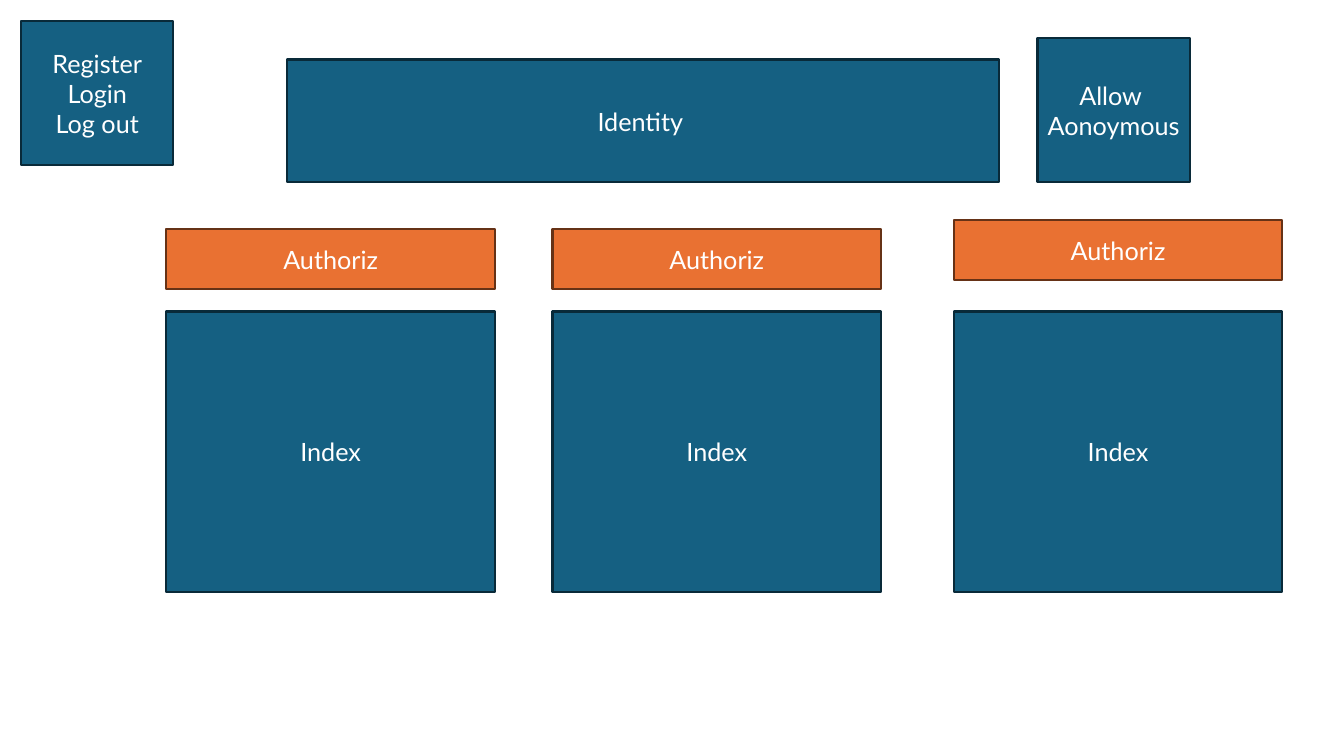
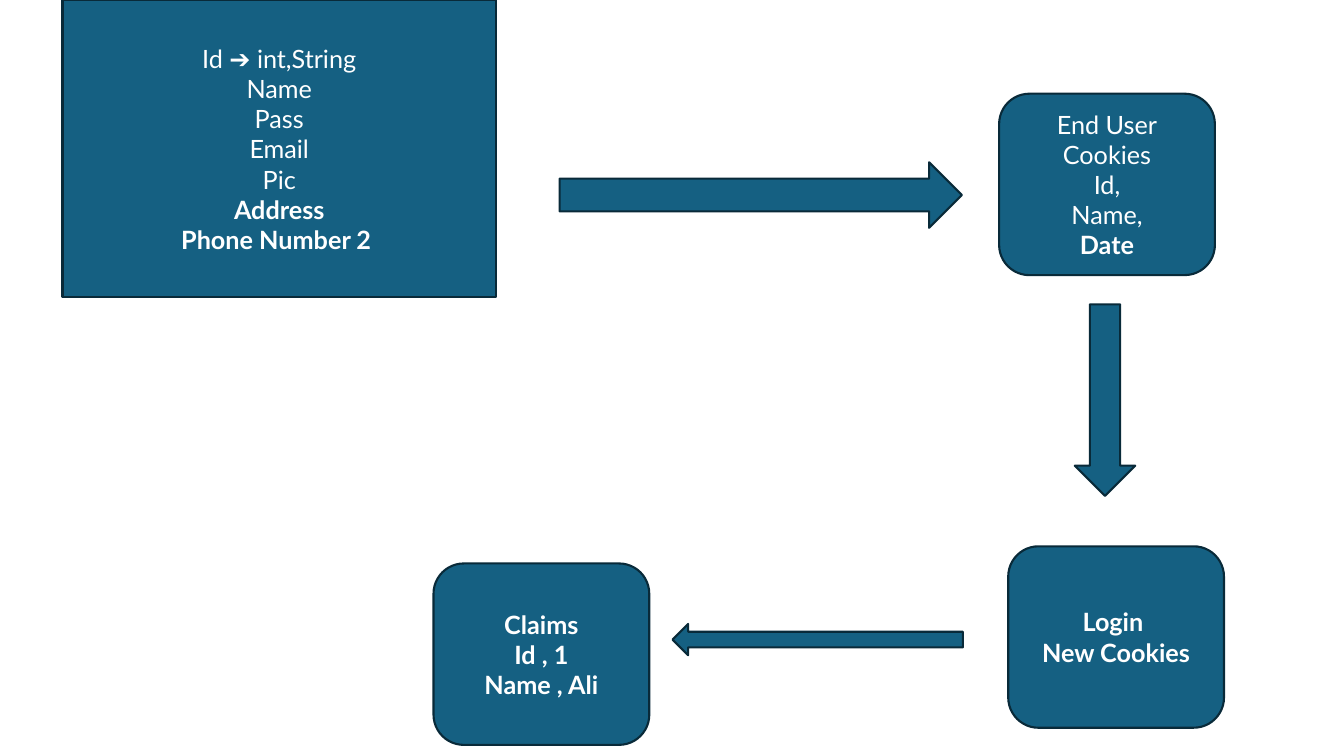
from pptx import Presentation
from pptx.dml.color import RGBColor
from pptx.enum.shapes import MSO_SHAPE
from pptx.enum.text import MSO_ANCHOR, PP_ALIGN
from pptx.util import Inches, Pt

RECTANGLE = MSO_SHAPE.RECTANGLE
ROUNDED = MSO_SHAPE.ROUNDED_RECTANGLE
RIGHT_ARROW = MSO_SHAPE.RIGHT_ARROW
DOWN_ARROW = MSO_SHAPE.DOWN_ARROW
LEFT_ARROW = MSO_SHAPE.LEFT_ARROW
MIDDLE = MSO_ANCHOR.MIDDLE
CENTER = PP_ALIGN.CENTER

BLUE = RGBColor(0x15, 0x60, 0x82)
DARK_BLUE = RGBColor(0x09, 0x2A, 0x39)
ORANGE = RGBColor(0xE9, 0x71, 0x32)
DARK_ORANGE = RGBColor(0x66, 0x32, 0x16)
WHITE = RGBColor(0xFF, 0xFF, 0xFF)

BLANK_LAYOUT = 6


def write_text(frame, lines, font="Lato", size=18, color=WHITE, bold_from=None):
    """Write one paragraph per line; lines from index bold_from on are bold."""
    frame.word_wrap = True
    frame.vertical_anchor = MIDDLE
    for index, line in enumerate(lines):
        paragraph = frame.paragraphs[0] if index == 0 else frame.add_paragraph()
        paragraph.alignment = CENTER
        run = paragraph.add_run()
        run.text = line
        run.font.name = font
        run.font.size = Pt(size)
        run.font.color.rgb = color
        run.font.bold = bold_from is not None and index >= bold_from


class Diagram:
    """Holds the shared shape style and the slide being drawn."""

    line_width = Pt(1.5)

    def __init__(self, presentation):
        self.presentation = presentation
        self.slide = None

    def new_slide(self):
        layout = self.presentation.slide_layouts[BLANK_LAYOUT]
        self.slide = self.presentation.slides.add_slide(layout)

    def arrow(self, kind, left, top, width, height, fill=BLUE, line=DARK_BLUE):
        return self._shape(kind, left, top, width, height, fill, line)

    def box(self, lines, left, top, width, height, kind=RECTANGLE,
            fill=BLUE, line=DARK_BLUE, **text_format):
        shape = self._shape(kind, left, top, width, height, fill, line)
        write_text(shape.text_frame, lines, **text_format)

    def card(self, lines, left, top, **text_format):
        """Add a rounded box of the standard size."""
        self.box(lines, left, top, 2.14, 1.8, kind=ROUNDED, **text_format)

    def _shape(self, kind, left, top, width, height, fill, line):
        shape = self.slide.shapes.add_shape(
            kind, Inches(left), Inches(top), Inches(width), Inches(height))
        shape.shadow.inherit = False
        shape.fill.solid()
        shape.fill.fore_color.rgb = fill
        shape.line.color.rgb = line
        shape.line.width = self.line_width
        return shape


def draw_authorization(diagram):
    diagram.new_slide()
    diagram.box(["Identity "], 2.85, 0.59, 7.06, 1.22)
    access_size = (1.51, 1.43)
    diagram.box(["Register", "Login", "Log out"], 0.21, 0.21, *access_size)
    diagram.box(["Allow ", "Aonoymous"], 10.29, 0.38, *access_size)

    column_width = 3.26
    for left, authorize_top in ((1.65, 2.27), (5.48, 2.27), (9.46, 2.18)):
        diagram.box(["Authoriz"], left, authorize_top, column_width, 0.6,
                    fill=ORANGE, line=DARK_ORANGE)
        diagram.box(["Index"], left, 3.09, column_width, 2.78)


def draw_cookie_flow(diagram):
    diagram.new_slide()
    user_fields = ["Id ➔ int,String", "Name", "Pass", "Email", "Pic",
                   "Address", "Phone Number 2 "]
    diagram.box(user_fields, 0.62, 0, 4.3, 2.95, bold_from=5)
    diagram.arrow(RIGHT_ARROW, 5.55, 1.61, 3.99, 0.65)
    diagram.card(["End User", "Cookies", "Id,", "Name,", "Date"],
                 9.91, 0.93, bold_from=4)
    diagram.arrow(DOWN_ARROW, 10.66, 3.02, 0.6, 1.9)
    diagram.card(["Login ", "New Cookies"], 10, 5.42, bold_from=0)
    diagram.arrow(LEFT_ARROW, 6.67, 6.19, 2.88, 0.31)
    diagram.card(["Claims", "Id , 1", "Name , Ali"], 4.3, 5.59, bold_from=0)


def main():
    presentation = Presentation()
    presentation.slide_width = Inches(13.33)
    presentation.slide_height = Inches(7.5)
    diagram = Diagram(presentation)
    draw_authorization(diagram)
    draw_cookie_flow(diagram)
    presentation.save("out.pptx")


if __name__ == "__main__":
    main()
